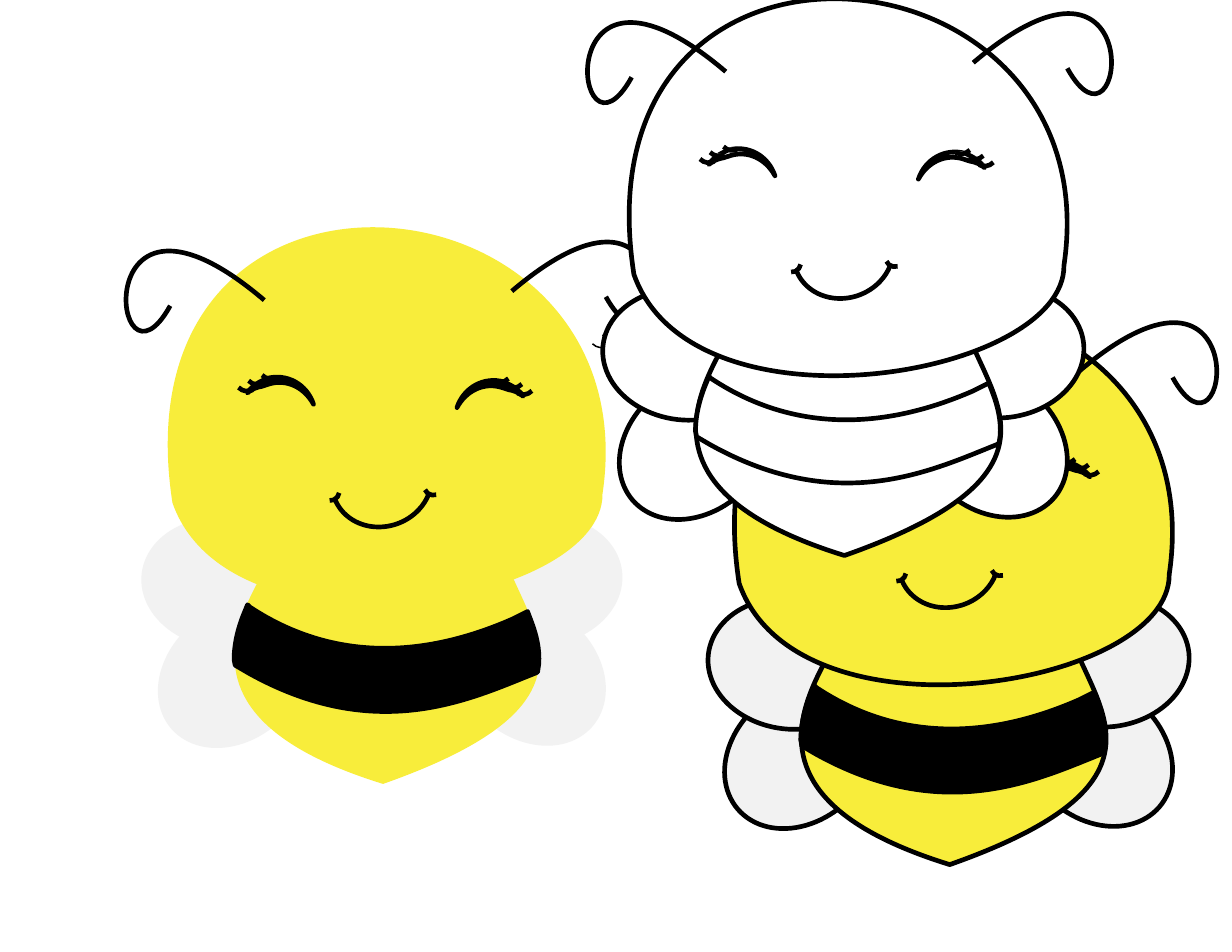
from math import cos, radians, sin

from lxml.etree import SubElement
from pptx import Presentation
from pptx.dml.color import RGBColor
from pptx.enum.shapes import MSO_SHAPE
from pptx.oxml.ns import qn
from pptx.util import Inches, Pt

COLORS = {"yellow": "F8ED3B", "wing": "F2F2F2", "black": "000000", "white": "FFFFFF"}

# Bees, back to front: offset from the left bee and the colour of each part
BEES = [
    {"offset": (5.06, 0.72), "wing": "wing", "body": "yellow", "detail": "black",
     "mouth": None, "lash": None, "outline": "black"},
    {"offset": (0, 0), "wing": "wing", "body": "yellow", "detail": "black",
     "mouth": None, "lash": None, "outline": None},
    {"offset": (4.12, -2.04), "wing": "white", "body": "white", "detail": "white",
     "mouth": "white", "lash": "white", "outline": "black"},
]

# Frames are left, top, width, height in inches, drawn for the left bee.
# Path points are where they appear on the slide, after any rotation.
WINGS = [((1.35, 5.44, 1.47, 1.17), 319.2), ((1.26, 4.62, 1.47, 1.17), 6.4)]
BODY = ((2.09, 4.43, 2.72, 2.57), [
    ("M", 2.59, 4.54), ("L", 4.48, 4.43), ("C", 4.15, 5.28, 6, 6.09, 3.42, 7),
    ("C", 0.93, 6.23, 2.74, 4.9, 2.59, 4.54), ("Z",)])
HEAD = ((1.5, 2.03, 3.91, 3.36), [
    ("M", 1.54, 4.49), ("C", 1, 1, 5.82, 1.45, 5.38, 4.41),
    ("C", 5.39, 5.41, 2.06, 5.97, 1.54, 4.49), ("Z",)])
ANTENNA = ((1.12, 2.24, 1.24, 0.72), [
    ("M", 2.36, 2.68), ("C", 0.75, 1.31, 1, 3.67, 1.52, 2.73)])
STRIPE = ((2.09, 5.4, 2.72, 0.95), [
    ("M", 2.21, 5.4), ("L", 2.23, 5.42), ("C", 2.91, 5.87, 3.7, 5.91, 4.57, 5.53),
    ("L", 4.71, 5.46), ("L", 4.74, 5.54), ("C", 4.79, 5.67, 4.82, 5.8, 4.81, 5.93),
    ("L", 4.8, 6), ("L", 4.78, 6.01), ("C", 4.2, 6.24, 3.37, 6.65, 2.22, 6.01),
    ("L", 2.1, 5.94), ("L", 2.09, 5.89), ("C", 2.09, 5.74, 2.13, 5.59, 2.19, 5.45),
    ("Z",)])
EYE = ((2.25, 3.35, 0.5, 0.37), [
    ("M", 2.32, 3.41), ("C", 2.28, 3.43, 2.25, 3.46, 2.22, 3.49), ("L", 2.21, 3.51),
    ("L", 2.22, 3.5), ("C", 2.23, 3.49, 2.25, 3.48, 2.27, 3.47),
    ("C", 2.3, 3.46, 2.32, 3.45, 2.34, 3.45), ("L", 2.4, 3.43),
    ("C", 2.56, 3.38, 2.72, 3.46, 2.8, 3.61), ("C", 2.74, 3.43, 2.56, 3.33, 2.38, 3.38),
    ("C", 2.36, 3.39, 2.34, 3.4, 2.32, 3.41), ("Z",)])
EYE_ROTATION = 336.5
LASH = ((2.34, 3.36, 0.13, 0.03), [
    ("M", 2.47, 3.37), ("C", 2.43, 3.39, 2.38, 3.39, 2.34, 3.35)])
LASH_ROTATION = 13.2
LASH_STEPS = [(0, 0), (-0.12, 0.05), (-0.21, 0.11)]
MOUTH = ((2.96, 3.89, 0.9, 0.81), 160.6, 129.4)
DIMPLES = [((3.79, 4.27, 0.17, 0.15), 160.6, 164.65),
           ((2.87, 4.31, 0.17, 0.15), 97.9, 164.65)]

# Mirror axis and vertical shift of the right-hand parts
MIRRORS = {"wing": (3.41, -0.02), "antenna": (3.465, -0.08), "eye": (3.44, 0.03)}

# Loose eye, mostly hidden behind the bees: lash offsets with rotation, then the lid
LOOSE_LASHES = [((3.15, -0.39), 13.2), ((3.04, -0.36), 0), ((2.95, -0.28), 10.2)]
LOOSE_LID = ((5.39, 2.97, 0.53, 0.64), 331.3, 146.74)


def move(frame, offset):
    left, top, width, height = frame
    return left + offset[0], top + offset[1], width, height


def move_part(part, offset):
    frame, path = part
    return move(frame, offset), [
        (command, *(value + offset[i % 2] for i, value in enumerate(values)))
        for command, *values in path]


def mirror_frame(frame, side):
    axis, shift = MIRRORS[side]
    left, top, width, height = frame
    return 2 * axis - left - width, top + shift, width, height


def mirror_part(part, side):
    axis, shift = MIRRORS[side]
    frame, path = part
    return mirror_frame(frame, side), [
        (command, *(value + shift if i % 2 else 2 * axis - value
                    for i, value in enumerate(values)))
        for command, *values in path]


def style(shape, fill, outline, width, rotation):
    shape.shadow.inherit = False
    shape.rotation = rotation % 360
    if fill:
        shape.fill.solid()
        shape.fill.fore_color.rgb = RGBColor.from_string(COLORS[fill])
    else:
        shape.fill.background()
    if outline:
        shape.line.color.rgb = RGBColor.from_string(COLORS[outline])
        shape.line.width = Pt(width)
    else:
        shape.line.fill.background()


def add_preset(group, kind, frame, rotation, fill, outline, width=3):
    shape = group.shapes.add_shape(kind, *(Inches(value) for value in frame))
    style(shape, fill, outline, width, rotation)
    return shape


def add_arc(group, arc, offset, fill=None, width=3):
    frame, rotation, start = arc
    shape = add_preset(group, MSO_SHAPE.ARC, move(frame, offset), rotation,
                       fill, "black", width)
    shape.adjustments[0] = start


def add_curve(group, part, fill, outline, rotation=0, width=3):
    """Build a freeform over its frame, then give it Bezier segments."""
    (left, top, frame_width, frame_height), path = part
    builder = group.shapes.build_freeform(Inches(left), Inches(top))
    builder.add_line_segments(
        [(Inches(left + frame_width), Inches(top + frame_height))], close=False)
    shape = builder.convert_to_shape()
    outline_path = next(shape._element.iter(qn("a:path")))
    for child in list(outline_path):
        outline_path.remove(child)
    middle_x, middle_y = frame_width / 2, frame_height / 2
    cosine, sine = cos(radians(rotation)), sin(radians(rotation))
    tags = {"M": "a:moveTo", "L": "a:lnTo", "C": "a:cubicBezTo", "Z": "a:close"}
    for command, *values in path:
        segment = SubElement(outline_path, qn(tags[command]))
        for x, y in zip(values[::2], values[1::2]):
            across, down = x - left - middle_x, y - top - middle_y
            point = SubElement(segment, qn("a:pt"))
            point.set("x", str(Inches(middle_x + across * cosine + down * sine)))
            point.set("y", str(Inches(middle_y - across * sine + down * cosine)))
    style(shape, fill, outline, width, rotation)


def add_loose_eye(slide):
    group = slide.shapes.add_group_shape()
    for offset, rotation in LOOSE_LASHES:
        add_curve(group, move_part(LASH, offset), None, "black", rotation, 1)
    add_arc(group, LOOSE_LID, (0, 0), width=1.5)


def add_bee(slide, bee):
    group = slide.shapes.add_group_shape()
    offset, outline = bee["offset"], bee["outline"]

    def curve(part, fill, line="black", rotation=0):
        add_curve(group, move_part(part, offset), fill, line, rotation)

    for mirrored in (True, False):
        for frame, rotation in WINGS:
            if mirrored:
                frame, rotation = mirror_frame(frame, "wing"), -rotation
            wing = add_preset(group, MSO_SHAPE.OVAL, move(frame, offset), rotation,
                              bee["wing"], outline)
            if mirrored:
                wing._element.spPr.xfrm.set("flipH", "1")
    curve(BODY, bee["body"], outline)
    curve(HEAD, bee["body"], outline)
    curve(ANTENNA, None)
    add_arc(group, MOUTH, offset, bee["mouth"])
    curve(mirror_part(ANTENNA, "antenna"), None)
    curve(STRIPE, bee["detail"])
    for mirrored in (True, False):
        features = [(EYE, bee["detail"], EYE_ROTATION)]
        features += [(move_part(LASH, step), bee["lash"], LASH_ROTATION)
                     for step in LASH_STEPS]
        for part, fill, rotation in features:
            if mirrored:
                part, rotation = mirror_part(part, "eye"), -rotation
            curve(part, fill, rotation=rotation)
    for dimple in DIMPLES:
        add_arc(group, dimple, offset, bee["mouth"])


def main():
    presentation = Presentation()
    presentation.slide_width, presentation.slide_height = Inches(11), Inches(8.5)
    slide = presentation.slides.add_slide(presentation.slide_layouts[6])
    add_loose_eye(slide)
    for bee in BEES:
        add_bee(slide, bee)
    presentation.save("out.pptx")


if __name__ == "__main__":
    main()
